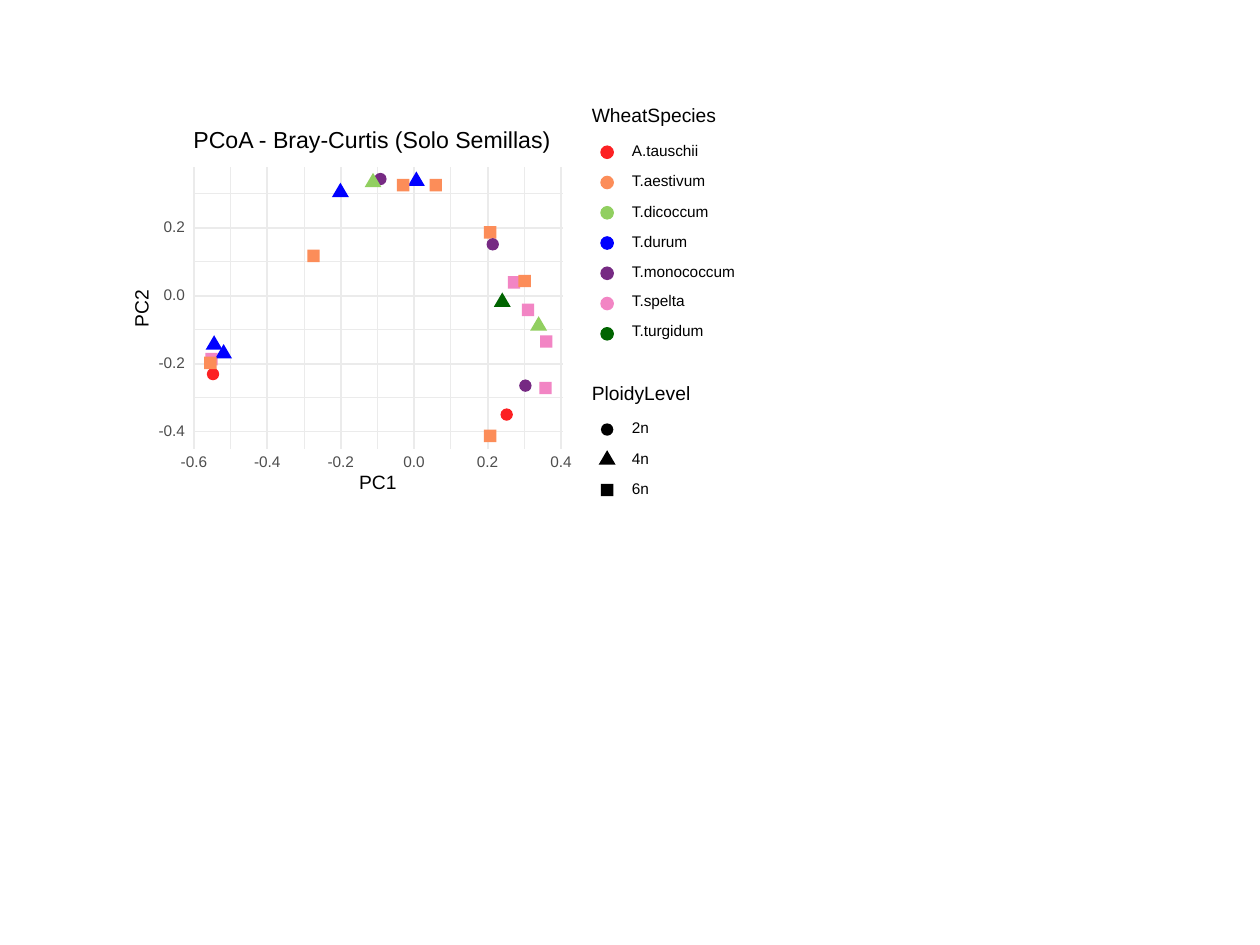
from typing import NamedTuple

from lxml.etree import SubElement
from pptx import Presentation
from pptx.dml.color import RGBColor as Rgb
from pptx.enum.shapes import MSO_CONNECTOR as Link, MSO_SHAPE as Kind
from pptx.enum.text import MSO_ANCHOR as Anchor, PP_ALIGN as Align
from pptx.oxml.ns import qn
from pptx.util import Cm, Pt

HEX = {
    "white": "FFFFFF", "black": "000000", "grid": "EBEBEB", "tick": "4D4D4D",
    "red": "FC2123", "orange": "FC8D59", "lime": "91CF60", "blue": "0000FF",
    "purple": "762A83", "pink": "F285C4", "green": "006400",
}
FONT = "Arial"


class Mark(NamedTuple):
    kind: Kind
    wide: float
    high: float
    rise: float  # share of the height above the plotted point


class Species(NamedTuple):
    name: str
    hue: str
    ploidy: str
    wide: float
    high: float = 0.23


class Point(NamedTuple):
    key: str
    x: float
    y: float


MARKS = {
    "2n": Mark(Kind.OVAL, 0.25, 0.25, 0.5),
    "4n": Mark(Kind.ISOSCELES_TRIANGLE, 0.34, 0.29, 0.67),
    "6n": Mark(Kind.RECTANGLE, 0.25, 0.25, 0.5),
}
SPECIES = {
    "tau": Species("A.tauschii", "red", "2n", 1.38),
    "aes": Species("T.aestivum", "orange", "6n", 1.55),
    "dic": Species("T.dicoccum", "lime", "4n", 1.6),
    "dur": Species("T.durum", "blue", "4n", 1.2),
    "mon": Species("T.monococcum", "purple", "2n", 2.16),
    "spe": Species("T.spelta", "pink", "6n", 1.12, 0.28),
    "tur": Species("T.turgidum", "green", "4n", 1.5, 0.28),
}

# Sample scores in hundredths, back to front
POINTS = [
    Point("tau", 25.2, -35), Point("tau", -54.8, -23.1),
    Point("aes", 20.7, -41.3), Point("aes", 20.7, 18.6),
    Point("spe", -55.2, -18.7), Point("spe", 35.8, -27.2),
    Point("spe", 27.2, 3.9), Point("spe", 36, -13.5),
    Point("spe", 31, -4.2), Point("mon", 21.4, 15.1),
    Point("tur", 24, -1.9), Point("aes", -27.4, 11.7),
    Point("aes", 30.1, 4.3), Point("dur", -51.9, -17.1),
    Point("aes", -55.5, -19.8), Point("aes", 5.9, 32.5),
    Point("mon", 30.3, -26.5), Point("dur", -54.5, -14.5),
    Point("dic", 33.9, -8.9), Point("mon", -9.2, 34.3),
    Point("dic", -11.2, 33.3), Point("dur", 0.6, 33.7),
    Point("dur", -20.1, 30.4), Point("aes", -3, 32.5),
]

# Plot panel in cm
LEFT, RIGHT, TOP, BASE = 3.9, 11.34, 3.36, 9.05
STEP = 20  # hundredths between major grid lines
KEY_X, NAME_X, HEAD_X, ROW = 12.24, 12.74, 11.93, 0.61


def to_x(val: float) -> float:
    return 8.35 + val / STEP * 1.48


def to_y(val: float) -> float:
    return 5.96 - val / STEP * 1.37


def color(name: str) -> Rgb:
    return Rgb.from_string(HEX[name])


def add_line(shapes, x1: float, y1: float, x2: float, y2: float, size: float) -> None:
    line = shapes.add_connector(Link.STRAIGHT, Cm(x1), Cm(y1), Cm(x2), Cm(y2))
    line.line.color.rgb = color("grid")
    line.line.width = Pt(size)
    SubElement(line._element.spPr, qn("a:effectLst"))


def add_shape(shapes, kind: Kind, x: float, y: float, wide: float, high: float,
              hue: str, edge: float = 0) -> None:
    shape = shapes.add_shape(kind, Cm(x), Cm(y), Cm(wide), Cm(high))
    shape.shadow.inherit = False
    shape.fill.solid()
    shape.fill.fore_color.rgb = color(hue)
    if edge:
        shape.line.color.rgb = color(hue)
        shape.line.width = Pt(edge)
    else:
        shape.line.fill.background()


def add_mark(shapes, ploidy: str, x: float, y: float, hue: str, edge: float = 0) -> None:
    mark = MARKS[ploidy]
    add_shape(shapes, mark.kind, x - mark.wide / 2, y - mark.high * mark.rise,
              mark.wide, mark.high, hue, edge)


def add_text(shapes, text: str, x: float, y: float, wide: float, high: float,
             size: float = 8.8, hue: str = "black", align: Align = Align.LEFT,
             turn: float = 0) -> None:
    box = shapes.add_textbox(Cm(x), Cm(y), Cm(wide), Cm(high))
    box.rotation = turn
    frame = box.text_frame
    frame.text = text
    frame.word_wrap = False
    frame.vertical_anchor = Anchor.MIDDLE
    frame.margin_left = frame.margin_right = 0
    frame.margin_top = frame.margin_bottom = 0
    para = frame.paragraphs[0]
    para.alignment = align
    para.line_spacing = Pt(size)
    font = para.runs[0].font
    font.name, font.size = FONT, Pt(size)
    font.color.rgb = color(hue)


def add_grid(shapes, shift: int, size: float) -> None:
    for val in range(-40 + shift, 31, STEP):
        add_line(shapes, LEFT, to_y(val), RIGHT, to_y(val), size)
    for val in range(-60 + shift, 41, STEP):
        add_line(shapes, to_x(val), BASE, to_x(val), TOP, size)


def add_tick(shapes, val: int, x: float, y: float, share: float, align: Align) -> None:
    wide = 0.58 if val < 0 else 0.46
    add_text(shapes, f"{val / 100:.1f}", x - wide * share, y, wide, 0.23,
             hue="tick", align=align)


def add_ticks(shapes) -> None:
    for val in range(-40, 21, STEP):
        add_tick(shapes, val, 3.73, to_y(val) - 0.11, 1, Align.RIGHT)
    for val in range(-60, 41, STEP):
        add_tick(shapes, val, to_x(val), 9.22, 0.5, Align.CENTER)


def add_legend(shapes) -> None:
    # Species, all keyed by a dot
    add_text(shapes, "WheatSpecies", HEAD_X, 2.18, 2.62, 0.36, 11)
    for row, item in enumerate(SPECIES.values()):
        y = 3.07 + row * ROW
        add_mark(shapes, "2n", KEY_X, y, item.hue, 0.71)
        add_text(shapes, item.name, NAME_X, y + 0.11 - item.high, item.wide, item.high)
    # Ploidy, keyed by outline
    add_text(shapes, "PloidyLevel", HEAD_X, 7.77, 2.1, 0.36, 11)
    for row, name in enumerate(MARKS):
        y = 8.66 + row * ROW
        add_mark(shapes, name, KEY_X, y, "black")
        add_text(shapes, name, NAME_X, y - 0.12, 0.4, 0.23)


def main() -> None:
    deck = Presentation()
    deck.slide_width, deck.slide_height = Cm(25.4), Cm(19.05)
    shapes = deck.slides.add_slide(deck.slide_layouts[6]).shapes

    # Panel and grid, minor lines first
    add_shape(shapes, Kind.RECTANGLE, 2.54, 2.54, 12.7, 7.62, "white", 0.75)
    add_grid(shapes, 10, 0.53)
    add_grid(shapes, 0, 1.07)

    # Samples
    for dot in POINTS:
        kin = SPECIES[dot.key]
        add_mark(shapes, kin.ploidy, to_x(dot.x), to_y(dot.y), kin.hue)

    # Axes, legend and title
    add_ticks(shapes)
    add_text(shapes, "PC1", 7.24, 9.61, 0.78, 0.28, 11)
    add_text(shapes, "PC2", 2.49, 6.07, 0.78, 0.28, 11, turn=270)
    add_legend(shapes)
    add_text(shapes, "PCoA - Bray-Curtis (Solo Semillas)", 3.9, 2.64, 7.25, 0.43, 13.2)

    deck.save("out.pptx")


if __name__ == "__main__":
    main()
